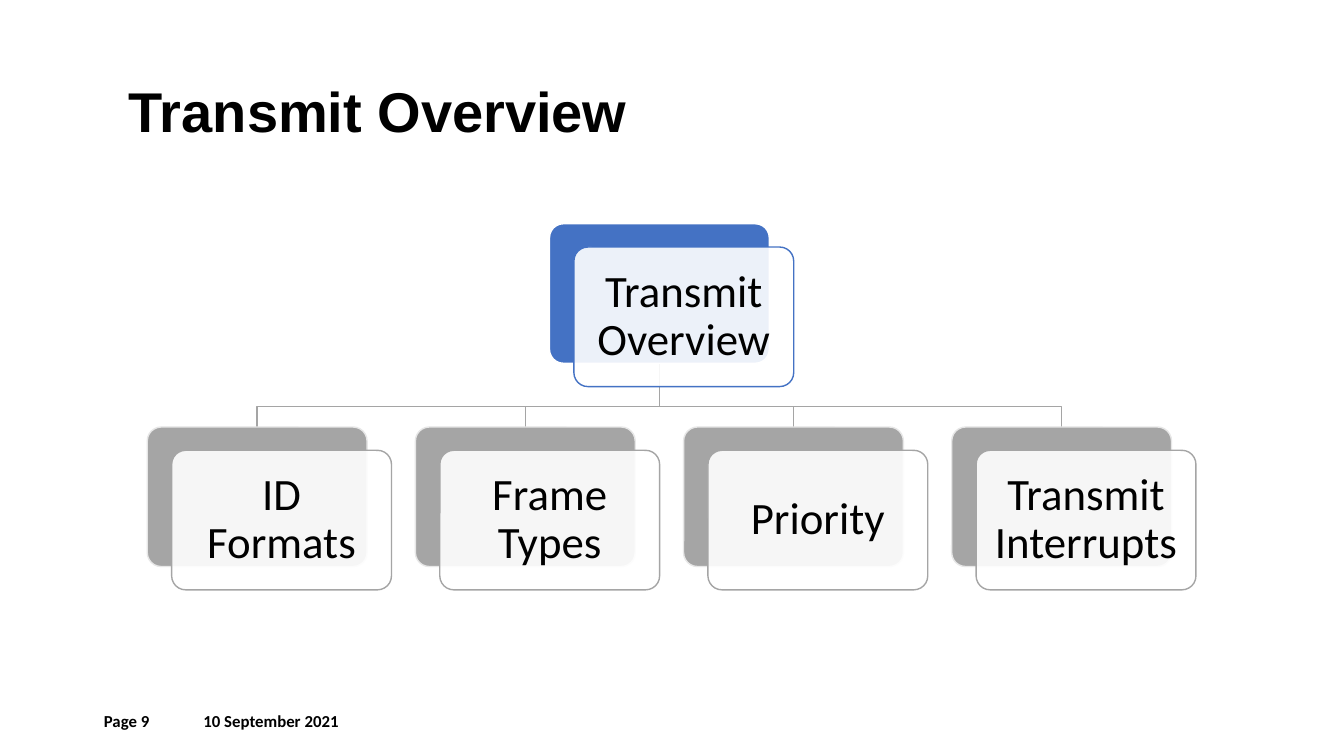
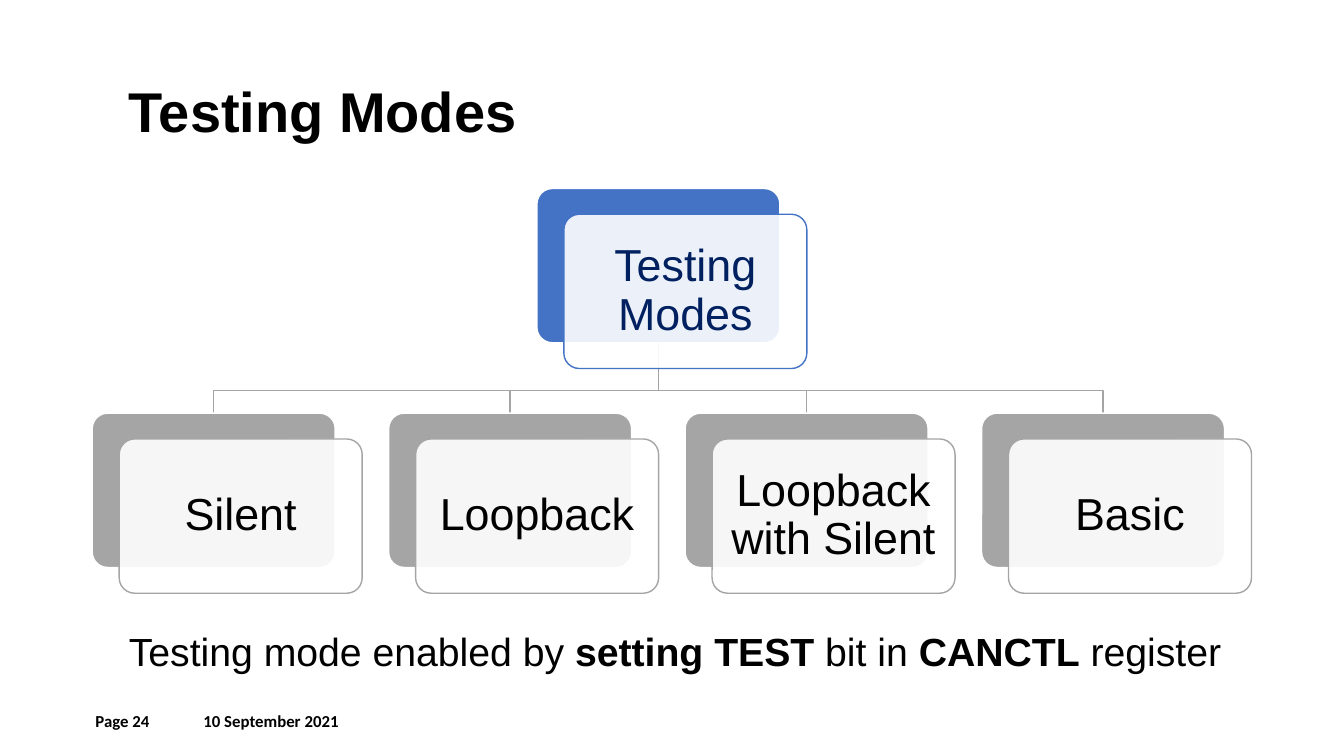
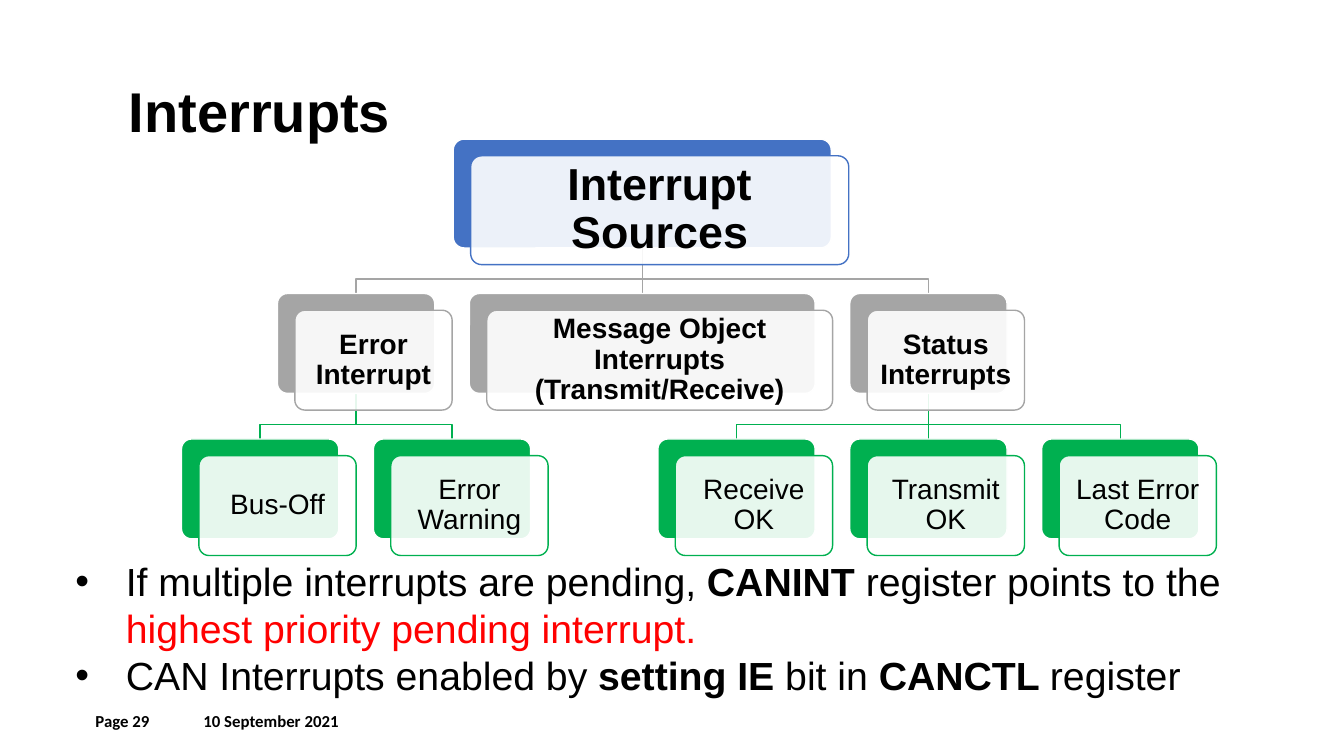
from dataclasses import dataclass

from lxml import etree
from pptx import Presentation
from pptx.dml.color import RGBColor
from pptx.enum.shapes import MSO_CONNECTOR, MSO_SHAPE
from pptx.enum.text import MSO_ANCHOR, PP_ALIGN
from pptx.oxml.ns import qn
from pptx.util import Inches, Pt

ROUNDED = MSO_SHAPE.ROUNDED_RECTANGLE
STRAIGHT = MSO_CONNECTOR.STRAIGHT
TOP, MIDDLE = MSO_ANCHOR.TOP, MSO_ANCHOR.MIDDLE
LEFT, CENTER, RIGHT = PP_ALIGN.LEFT, PP_ALIGN.CENTER, PP_ALIGN.RIGHT

# Shared look
BLACK, WHITE, NAVY, RED = "000000", "FFFFFF", "002060", "FF0000"
GRAY, PALE_GRAY = "A5A5A5", "E7E7E7"
LEVEL_COLORS = ["4472C4", GRAY, "00B050"]
HEAD_FONT, FOOT_FONT = "Arial", "Calibri"
DATE = "10 September 2021"

# Tree proportions, relative to the width of a standard card
CARD_HEIGHT, ROW_GAP, COLUMN_GAP = 0.635, 0.29, 0.22
SHIFT_X, SHIFT_Y = 0.111, 0.106
BEND = 0.68


@dataclass
class Node:
    label: str
    children: tuple = ()
    width: float = 0
    height: float = 0
    size: int = 32
    bold: bool = False
    color: str = BLACK


@dataclass
class TreeStyle:
    card_width: float
    font: str = HEAD_FONT
    child_edge: str = WHITE


def rgb(value):
    return RGBColor.from_string(value)


def format_run(r, size, font, color=BLACK, bold=False):
    r.font.size, r.font.name, r.font.bold = Pt(size), font, bold
    r.font.color.rgb = rgb(color)


def add_text(slide, box, paragraphs, size, font=HEAD_FONT, align=LEFT,
             anchor=TOP, bullet=False):
    """Each paragraph is a list of (text, bold, color) runs."""
    sp = slide.shapes.add_textbox(*map(Inches, box))
    tf = sp.text_frame
    tf.word_wrap, tf.vertical_anchor = True, anchor
    for i, runs in enumerate(paragraphs):
        p = tf.paragraphs[0] if i == 0 else tf.add_paragraph()
        p.alignment = align
        for text, bold, color in runs:
            r = p.add_run()
            r.text = text
            format_run(r, size, font, color, bold)
        if bullet:
            pPr = p._p.get_or_add_pPr()
            pPr.set("marL", str(Inches(0.5)))
            pPr.set("indent", str(Inches(-0.5)))
            etree.SubElement(pPr, qn("a:buFont")).set("typeface", HEAD_FONT)
            etree.SubElement(pPr, qn("a:buChar")).set("char", "•")


def add_frame(slide, title, page):
    """Title and footer."""
    add_text(slide, (1.18, 0.71, 10.88, 0.77), [[(title, True, BLACK)]], 40)
    footers = [((1.92, 6.95, 3, 0.4), DATE, LEFT),
               ((0.81, 6.95, 0.77, 0.4), f"Page {page}", RIGHT)]
    for box, text, align in footers:
        add_text(slide, box, [[(text, True, BLACK)]], 12, FOOT_FONT, align, MIDDLE)


def add_link(slide, x1, y1, x2, y2, color):
    """Line from a parent to a child, bent unless the child is right below."""
    if abs(x1 - x2) < 0.01:
        sp = slide.shapes.add_connector(STRAIGHT, *map(Inches, (x1, y1, x1, y2)))
        etree.SubElement(sp._element.spPr, qn("a:effectLst"))
    else:
        bend = y1 + (y2 - y1) * BEND
        builder = slide.shapes.build_freeform(Inches(x1), Inches(y1))
        corners = [(x1, bend), (x2, bend), (x2, y2)]
        builder.add_line_segments(
            [(Inches(x), Inches(y)) for x, y in corners], close=False)
        sp = builder.convert_to_shape()
        sp.shadow.inherit = False
        sp.fill.background()
    sp.line.color.rgb, sp.line.width = rgb(color), Pt(1)


def add_panel(slide, box, fill, edge):
    sp = slide.shapes.add_shape(ROUNDED, *map(Inches, box))
    sp.adjustments[0] = 0.1
    sp.shadow.inherit = False
    sp.fill.solid()
    sp.fill.fore_color.rgb = rgb(fill)
    sp.line.color.rgb, sp.line.width = rgb(edge), Pt(1)
    return sp


def add_card(slide, node, box, style, color, edge):
    """Coloured panel with a translucent labelled panel shifted over it."""
    x, y, w, h = box
    add_panel(slide, box, color, edge)
    front = add_panel(slide, (x + style.card_width * SHIFT_X,
                              y + style.card_width * SHIFT_Y, w, h), WHITE, color)
    solid = front._element.spPr.find(qn("a:solidFill"))
    etree.SubElement(solid[0], qn("a:alpha")).set("val", "90000")
    tf = front.text_frame
    tf.word_wrap, tf.vertical_anchor = True, MIDDLE
    inset = Inches(node.size * 0.004)
    tf.margin_left = tf.margin_right = tf.margin_top = tf.margin_bottom = inset
    p = tf.paragraphs[0]
    p.text = node.label
    p.alignment, p.line_spacing = CENTER, 0.9
    for r in p.runs:
        format_run(r, node.size, style.font, node.color, node.bold)


def add_tree(slide, node, center, top, style, level=0):
    """Card with its children in an evenly spaced row centred below it."""
    unit = style.card_width
    w, h = node.width or unit, node.height or unit * CARD_HEIGHT
    bottom = top + h
    child_top = bottom + unit * ROW_GAP
    widths = [child.width or unit for child in node.children]
    gap = unit * COLUMN_GAP
    x = center - (sum(widths) + gap * (len(widths) - 1)) / 2
    for child, width in zip(node.children, widths):
        middle = x + width / 2
        add_link(slide, center, bottom, middle, child_top, LEVEL_COLORS[level + 1])
        add_tree(slide, child, middle, child_top, style, level + 1)
        x += width + gap
    add_card(slide, node, (center - w / 2, top, w, h), style,
             LEVEL_COLORS[level], style.child_edge if level else WHITE)


def transmit_slide(slide):
    add_frame(slide, "Transmit Overview", 9)
    labels = ["ID Formats", "Frame Types", "Priority", "Transmit Interrupts"]
    root = Node("Transmit Overview", tuple(Node(t) for t in labels))
    add_tree(slide, root, 6.54, 2.22, TreeStyle(2.18, FOOT_FONT, PALE_GRAY))


def testing_slide(slide):
    labels = ["Silent", "Loopback", "Loopback with Silent", "Basic"]
    root = Node("Testing Modes", tuple(Node(t) for t in labels), color=NAVY)
    add_tree(slide, root, 6.53, 1.87, TreeStyle(2.41))
    add_frame(slide, "Testing Modes", 24)
    add_text(slide, (1.18, 6.17, 11.23, 0.57), [[
        ("Testing mode enabled by ", False, BLACK), ("setting TEST", True, BLACK),
        (" bit in ", False, BLACK), ("CANCTL", True, BLACK),
        (" register", False, BLACK)]], 28)


def interrupts_slide(slide):
    add_frame(slide, "Interrupts", 29)

    def leaves(*labels):
        return tuple(Node(t, size=20) for t in labels)

    groups = (
        Node("Error Interrupt", leaves("Bus-Off", "Error Warning"),
             size=20, bold=True),
        Node("Message Object Interrupts\n(Transmit/Receive)", width=3.43,
             size=20, bold=True),
        Node("Status Interrupts",
             leaves("Receive OK", "Transmit OK", "Last Error Code"),
             size=20, bold=True),
    )
    root = Node("Interrupt Sources", groups, 3.75, 1.08, bold=True)
    add_tree(slide, root, 6.37, 1.38, TreeStyle(1.56))
    add_text(slide, (0.65, 5.48, 11.79, 1.51), [
        [("If multiple interrupts are pending, ", False, BLACK),
         ("CANINT ", True, BLACK), ("register points to the ", False, BLACK),
         ("highest priority pending interrupt.", False, RED)],
        [("CAN Interrupts enabled by ", False, BLACK),
         ("setting IE", True, BLACK), (" bit in ", False, BLACK),
         ("CANCTL ", True, BLACK), ("register", False, BLACK)]], 28, bullet=True)


def main():
    prs = Presentation()
    prs.slide_width, prs.slide_height = Inches(13.33), Inches(7.5)
    for build in (transmit_slide, testing_slide, interrupts_slide):
        build(prs.slides.add_slide(prs.slide_layouts[6]))
    prs.save("out.pptx")


if __name__ == "__main__":
    main()
